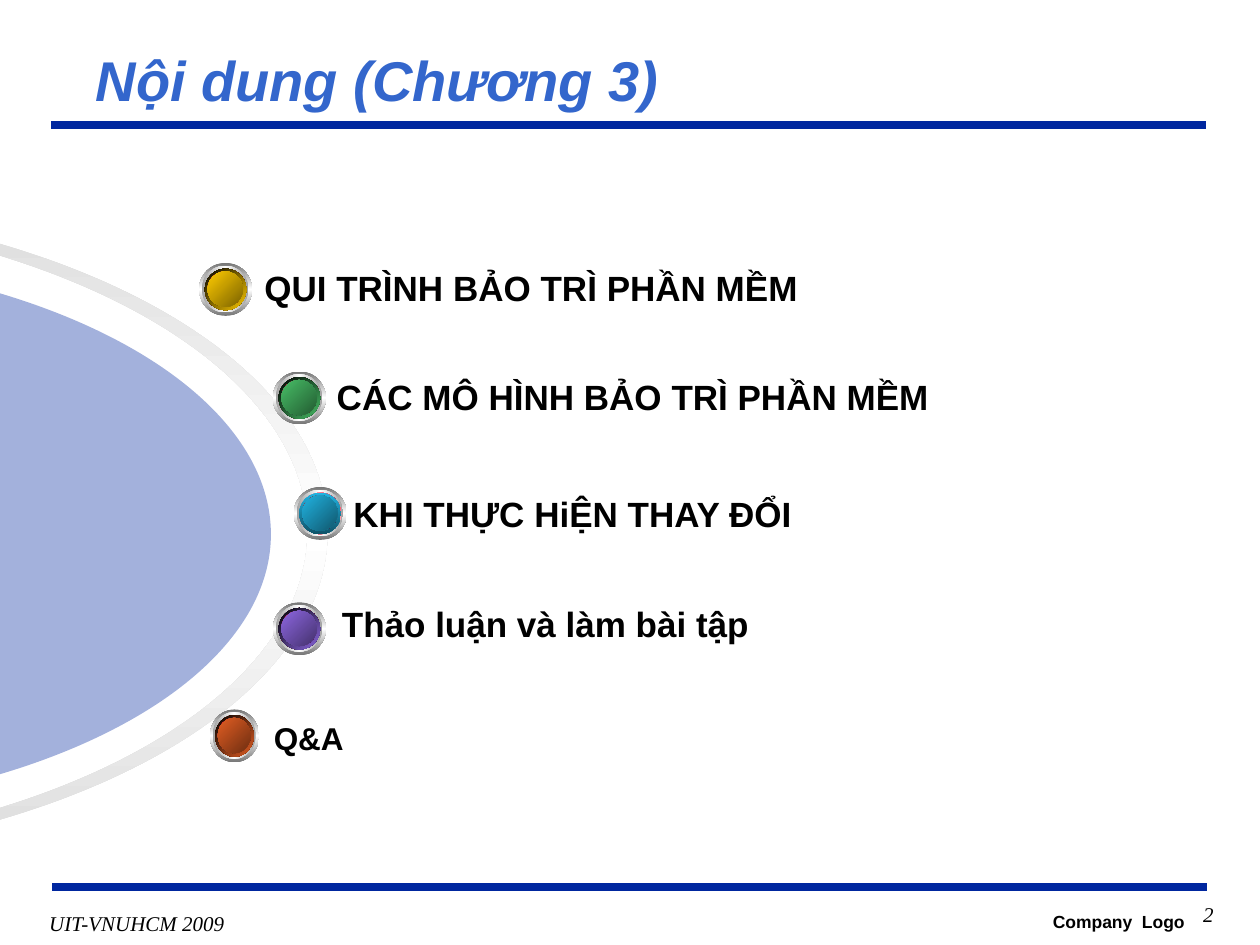
from lxml import etree
from pptx import Presentation
from pptx.dml.color import RGBColor
from pptx.enum.shapes import MSO_CONNECTOR, MSO_SHAPE
from pptx.enum.text import MSO_ANCHOR, MSO_AUTO_SIZE, PP_ALIGN
from pptx.oxml.ns import qn
from pptx.util import Pt

LEFT, CENTER, RIGHT = PP_ALIGN.LEFT, PP_ALIGN.CENTER, PP_ALIGN.RIGHT
MIDDLE = MSO_ANCHOR.MIDDLE
OVAL, PILL = MSO_SHAPE.OVAL, MSO_SHAPE.ROUNDED_RECTANGLE
STRAIGHT = MSO_CONNECTOR.STRAIGHT
NO_AUTOSIZE = MSO_AUTO_SIZE.NONE

COLORS = {
    "navy": "00279F", "title": "3366CC", "black": "000000", "white": "FFFFFF",
    "arc": "DCDCDC", "rim": "767676", "ring": "A2A2A2", "red": "FC0128", "teal": "216B6B",
    "yellow": "FFCC00", "dark_yellow": "7C6300",
    "green": "48BE67", "dark_green": "235C32",
    "cyan": "21B3E1", "shade_cyan": "0F5368", "dark_cyan": "10576D",
    "purple": "8D67E1", "dark_purple": "45326D",
    "orange": "E35E23", "dark_orange": "6E2E11",
}
SANS, SERIF = "Arial", "Times New Roman"
BALL_SIZE = 30.2
UNITS_PER_POINT = 100

TOPICS = [
    ("QUI TRÌNH BẢO TRÌ PHẦN MỀM", 20, (139, 149, 370, 33.8), 0.9),
    ("CÁC MÔ HÌNH BẢO TRÌ PHẦN MỀM", 20, (180, 208.1, 493.9, 36.7), 1),
    ("KHI THỰC HiỆN THAY ĐỔI", 20, (189, 273.2, 427.7, 40.3), 1),
    ("Thảo luận và làm bài tập", 20, (182.4, 336.2, 347.8, 40.3), 1),
    ("Q&A", 18, (143.5, 401.8, 347.8, 40.3), 1),
]
BALLS = [
    (113.8, 150.3, BALL_SIZE, "yellow", "dark_yellow", ("black", "yellow", 45)),
    (156, 212.3, BALL_SIZE, "green", "dark_green", ("black", "green", 45)),
    (167.9, 278.3, BALL_SIZE, "cyan", "dark_cyan", ("cyan", "shade_cyan", 90)),
    (156, 344.2, BALL_SIZE, "purple", "dark_purple", ("black", "purple", 45)),
    (120, 405.4, 28, "orange", "dark_orange", ("black", "orange", 45)),
]


def color(name):
    return RGBColor.from_string(COLORS[name])


def set_gradient(shape, names, angle):
    shape.fill.gradient()
    gradient = shape.fill._xPr.find(qn("a:gradFill"))
    for child in list(gradient):
        gradient.remove(child)
    stops = etree.SubElement(gradient, qn("a:gsLst"))
    for index, name in enumerate(names):
        position = str(100000 * index // (len(names) - 1))
        stop = etree.SubElement(stops, qn("a:gs"), pos=position)
        etree.SubElement(stop, qn("a:srgbClr"), val=COLORS[name])
    etree.SubElement(gradient, qn("a:lin"), ang=str(angle * 60000), scaled="0")


def write_text(shape, text, size, font_name, color_name, alignment, bold=False, italic=False):
    text_frame = shape.text_frame
    text_frame.text = text
    paragraph = text_frame.paragraphs[0]
    paragraph.alignment = alignment
    font = paragraph.runs[0].font
    font.name, font.size = font_name, Pt(size)
    font.bold, font.italic = bold, italic
    font.color.rgb = color(color_name)


def add_label(slide, box, wrap, *text_style, **emphasis):
    shape = slide.shapes.add_textbox(*map(Pt, box))
    shape.text_frame.word_wrap = wrap
    write_text(shape, *text_style, **emphasis)


def add_title(slide, text):
    title = slide.shapes.title
    title.left, title.top, title.width, title.height = map(Pt, (47.5, 23.8, 638.6, 42.5))
    title.text_frame.auto_size = NO_AUTOSIZE
    title.text_frame.vertical_anchor = MIDDLE
    write_text(title, text, 32, SANS, "title", LEFT, bold=True, italic=True)


def add_rule(slide, left, top):
    rule = slide.shapes.add_connector(STRAIGHT, Pt(left), Pt(top), Pt(left + 660), Pt(top))
    rule.line.color.rgb = color("navy")
    rule.line.width = Pt(4.5)
    etree.SubElement(rule._element.spPr, qn("a:effectLst"))


def half_oval(left, right, control_x, top, middle, bottom):
    rise = 0.55 * (middle - top)
    drop = 0.55 * (bottom - middle)
    return [(left, top), (control_x, top), (right, middle - rise), (right, middle),
            (right, middle + drop), (control_x, bottom), (left, bottom)]


def bend_lines(shape, first):
    lines = list(shape._element.iter(qn("a:lnTo")))[first:first + 6]
    for start in (0, 3):
        curve = etree.Element(qn("a:cubicBezTo"))
        lines[start].addprevious(curve)
        for line in lines[start:start + 3]:
            curve.append(line[0])
            line.getparent().remove(line)


def add_outline(slide, *ovals):
    points = [(x * UNITS_PER_POINT, y * UNITS_PER_POINT) for oval in ovals for x, y in oval]
    builder = slide.shapes.build_freeform(*points[0], scale=Pt(1 / UNITS_PER_POINT))
    builder.add_line_segments(points[1:], close=True)
    shape = builder.convert_to_shape()
    for index in range(len(ovals)):
        bend_lines(shape, index)
    shape.shadow.inherit = False
    shape.line.fill.background()
    return shape


def add_arcs(slide):
    outer = half_oval(-188.6, 187.2, 20.2, 113.8, 303.8, 493.9)
    inner = half_oval(-188.6, 175.7, 13.7, 119.5, 303.8, 488.2)
    band = add_outline(slide, outer, inner[::-1])
    set_gradient(band, ("arc", "white", "arc"), 90)

    disc = add_outline(slide, half_oval(-154.8, 154.8, 15.8, 146.2, 305.3, 463.7))
    disc.fill.solid()
    disc.fill.fore_color.rgb = color("navy")
    fill_color = disc.fill._xPr.find(qn("a:solidFill"))[0]
    etree.SubElement(fill_color, qn("a:alpha"), val="36000")


def add_topic(slide, text, size, box, line_spacing):
    pill = slide.shapes.add_shape(PILL, *map(Pt, box))
    pill.adjustments[0] = 0.5
    pill.shadow.inherit = False
    pill.fill.background()
    pill.line.color.rgb = color("white")
    pill.line.width = Pt(2.25)
    pill.text_frame.word_wrap = False
    pill.text_frame.vertical_anchor = MIDDLE
    write_text(pill, text, size, SANS, "black", LEFT, bold=True)
    pill.text_frame.paragraphs[0].line_spacing = line_spacing


def add_ball(slide, left, top, width, bright, dark, edge):
    group = slide.shapes.add_group_shape()
    layers = [
        (0, BALL_SIZE, ("rim", "white", "rim"), 90),
        (1.6, 26.6, ("ring", "white", "ring"), 0),
        (3.2, 23.8, ("white", "red", "white"), 45),
        (3.2, 23.8, edge[:2], edge[2]),
        (4.8, 20.2, ("teal", "red", "teal"), 315),
        (4.8, 20.2, (bright, dark), 45),
    ]
    squeeze = width / BALL_SIZE
    for inset, diameter, names, angle in layers:
        oval = group.shapes.add_shape(OVAL, Pt(left + inset * squeeze), Pt(top + inset),
                                      Pt(diameter * squeeze), Pt(diameter))
        oval.shadow.inherit = False
        oval.line.fill.background()
        set_gradient(oval, names, angle)


def main():
    presentation = Presentation()
    presentation.slide_width, presentation.slide_height = Pt(720), Pt(540)
    slide = presentation.slides.add_slide(presentation.slide_layouts[5])

    add_rule(slide, 29.3, 71.3)
    add_rule(slide, 30, 506.9)
    add_label(slide, (20.9, 516.8, 114.5, 20.9), False,
              "UIT-VNUHCM 2009", 12, SERIF, "black", CENTER, italic=True)
    add_label(slide, (563.8, 517, 120.2, 23), True,
              "Company  Logo", 10, SANS, "black", RIGHT, bold=True)
    add_title(slide, "Nội dung (Chương 3)")
    add_arcs(slide)
    for topic in reversed(TOPICS):
        add_topic(slide, *topic)
    for ball in BALLS:
        add_ball(slide, *ball)
    add_label(slide, (610.6, 511.9, 90, 23.8), True, "2", 12, SERIF, "black", RIGHT, italic=True)

    presentation.save("out.pptx")


if __name__ == "__main__":
    main()
